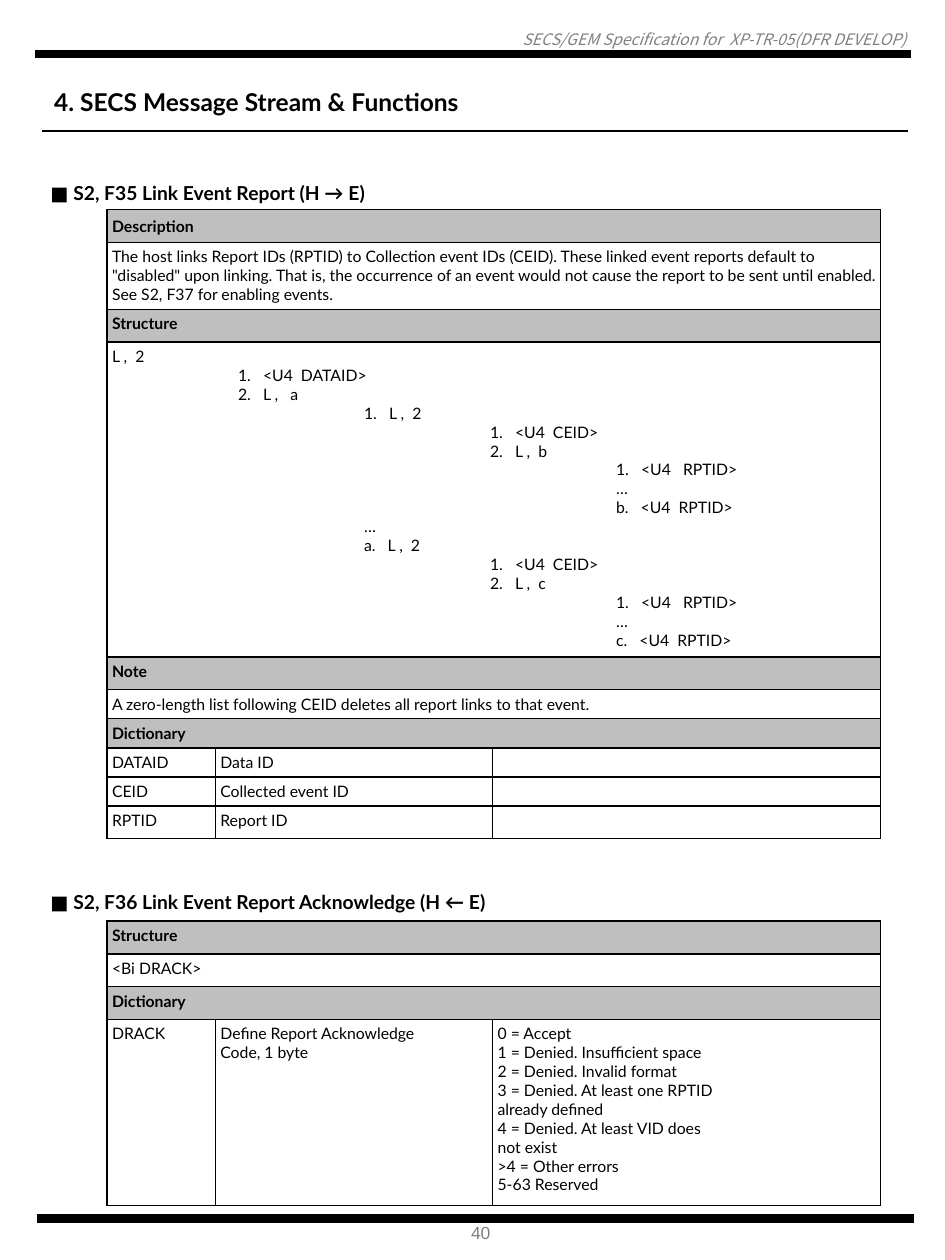
from lxml.etree import SubElement
from pptx import Presentation
from pptx.dml.color import RGBColor
from pptx.enum.shapes import MSO_CONNECTOR as Connector
from pptx.enum.text import MSO_ANCHOR as Anchor, PP_ALIGN as Align
from pptx.oxml.ns import qn
from pptx.util import Inches, Pt

BLACK, GRAY, BAND = "000000", "808080", "BFBFBF"
HEADING = {"size": Pt(11), "bold": True, "name": "Lato"}
BODY = {"size": Pt(9), "bold": False, "name": "Lato"}
STRONG = BODY | {"bold": True}
COLUMNS = [0.49, 0.86, 2.2, 3.08]

STRUCTURE = [
    (0, "L ,  2"),
    (1, "1.   <U4  DATAID>"),
    (1, "2.   L ,   a"),
    (2, "1.   L ,  2"),
    (3, "1.   <U4  CEID>"),
    (3, "2.   L ,  b"),
    (4, "1.   <U4   RPTID>"),
    (4, "…"),
    (4, "b.   <U4  RPTID>"),
    (2, "…"),
    (2, "a.   L ,  2"),
    (3, "1.   <U4  CEID>"),
    (3, "2.   L ,  c"),
    (4, "1.   <U4   RPTID>"),
    (4, "…"),
    (4, "c.   <U4  RPTID>"),
]
ERROR_CODES = [
    "0 = Accept",
    "1 = Denied. Insufficient space",
    "2 = Denied. Invalid format",
    "3 = Denied. At least one RPTID",
    "already defined",
    "4 = Denied. At least VID does",
    "not exist",
    ">4 = Other errors",
    "5-63 Reserved",
]
LINK_DESCRIPTION = (
    "The host links Report IDs (RPTID) to Collection event IDs (CEID). These linked event "
    'reports default to "disabled" upon linking. That is, the occurrence of an event would '
    "not cause the report to be sent until enabled. See S2, F37 for enabling events."
)
MESSAGES = [
    (1.4, [
        ("heading", 0.26, "■ S2, F35 Link Event Report (H → E)"),
        ("band", 0.26, "Description"),
        ("text", 0.53, [LINK_DESCRIPTION]),
        ("band", 0.26, "Structure"),
        ("text", 2.5, STRUCTURE),
        ("band", 0.26, "Note"),
        ("text", 0.23, ["A zero-length list following CEID deletes all report links to that event."]),
        ("band", 0.23, "Dictionary"),
        ("entry", 0.23, [["DATAID"], ["Data ID"], []]),
        ("entry", 0.23, [["CEID"], ["Collected event ID"], []]),
        ("entry", 0.26, [["RPTID"], ["Report ID"], []]),
    ]),
    (7.01, [
        ("heading", 0.3, "■ S2, F36 Link Event Report Acknowledge (H ← E)"),
        ("band", 0.26, "Structure"),
        ("text", 0.26, ["<Bi DRACK>"]),
        ("band", 0.26, "Dictionary"),
        ("entry", 1.48, [["DRACK"], ["Define Report Acknowledge", "Code, 1 byte"], ERROR_CODES]),
    ]),
]
RULES = [(0.28, 7.23, 0.43, 4.75), (0.29, 7.25, 9.67, 4.75), (0.33, 7.21, 1.04, 0.75)]


def color(code):
    """Turn a hex string into a colour."""
    return RGBColor.from_string(code)


def write(para, text, style, ink=BLACK):
    """Add one formatted span to a paragraph."""
    span = para.add_run()
    span.text = text
    for key, value in style.items():
        setattr(span.font, key, value)
    span.font.color.rgb = color(ink)


def fill_cell(cell, lines, style):
    """Write lines, or (level, line) pairs indented one inch a level, into a cell."""
    for index, line in enumerate(lines):
        level, text = line if isinstance(line, tuple) else (0, line)
        frame = cell.text_frame
        para = frame.add_paragraph() if index else frame.paragraphs[0]
        if level:
            para._p.get_or_add_pPr().set("marL", str(Inches(level)))
        write(para, text, style)


def set_borders(cell, black_sides):
    """Draw the named sides in black and the others in white."""
    props = cell._tc.get_or_add_tcPr()
    for index, side in enumerate("LRTB"):
        black = side in black_sides
        line = props.makeelement(qn(f"a:ln{side}"), {"w": str(Pt(1 if black else 0.75))})
        paint = SubElement(line, qn("a:solidFill"))
        SubElement(paint, qn("a:srgbClr"), val=BLACK if black else "FFFFFF")
        props.insert(index, line)


def add_message(page, top, rows):
    """Add the table that describes one message."""
    height = sum(row[1] for row in rows)
    table = page.shapes.add_table(
        len(rows), len(COLUMNS), Inches(0.36), Inches(top), Inches(sum(COLUMNS)), Inches(height)
    ).table
    table.first_row = table.horz_banding = False
    for column, width in zip(table.columns, COLUMNS):
        column.width = Inches(width)
    for number, (kind, row_height, content) in enumerate(rows):
        table.rows[number].height = Inches(row_height)
        cells = list(table.rows[number].cells)
        for index, cell in enumerate(cells):
            cell.margin_left = cell.margin_right = Inches(0.04)
            cell.margin_top = cell.margin_bottom = Inches(0.04)
            if kind == "band" and index:
                cell.fill.solid()
                cell.fill.fore_color.rgb = color(BAND)
            else:
                cell.fill.background()
            set_borders(cell, "" if kind == "heading" else "LRTB" if index else "R")
            cell.text_frame.paragraphs[0]._p.get_or_add_endParaRPr().set("sz", "900")
        if kind == "heading":
            cells[0].merge(cells[-1])
            fill_cell(cells[0], [content], HEADING)
        elif kind == "entry":
            for cell, lines in zip(cells[1:], content):
                fill_cell(cell, lines, BODY)
        else:
            cells[1].merge(cells[-1])
            band = kind == "band"
            fill_cell(cells[1], [content] if band else content, STRONG if band else BODY)
        if kind == "heading" or content == "Description":
            cells[0 if kind == "heading" else 1].vertical_anchor = Anchor.MIDDLE


def add_rule(page, left, right, top, weight):
    """Add a horizontal black line."""
    rule = page.shapes.add_connector(
        Connector.STRAIGHT, Inches(left), Inches(top), Inches(right), Inches(top)
    )
    rule.line.color.rgb = color(BLACK)
    rule.line.width = Pt(weight)
    SubElement(rule._element.spPr, qn("a:effectLst"))


deck = Presentation()
deck.slide_width, deck.slide_height = Inches(7.5), Inches(10)
page = deck.slides.add_slide(deck.slide_layouts[5])

title = page.shapes.title
title.left, title.top, title.width, title.height = map(Inches, (0.33, 0.64, 3.86, 0.34))
title.text_frame.word_wrap = False
title.text_frame.vertical_anchor = Anchor.TOP
title.text_frame.paragraphs[0].alignment = Align.LEFT
write(title.text_frame.paragraphs[0], "4. SECS Message Stream & Functions", HEADING | {"size": Pt(14)})

header = page.shapes.add_textbox(Inches(0.05), Inches(0.24), Inches(7.14), Inches(0.15)).text_frame
header.word_wrap = True
for side in ("left", "right", "top", "bottom"):
    setattr(header, f"margin_{side}", 0)
header.paragraphs[0].alignment = Align.RIGHT
write(
    header.paragraphs[0],
    "SECS/GEM Specification for  XP-TR-05(DFR DEVELOP)",
    {"size": Pt(9), "italic": True, "name": "Noto Sans CJK KR"},
    GRAY,
)

footer = page.shapes.add_textbox(Inches(3.64), Inches(9.65), Inches(0.37), Inches(0.27)).text_frame
write(footer.paragraphs[0], "40", {"size": Pt(10), "name": "Arial"}, GRAY)

for top, rows in MESSAGES:
    add_message(page, top, rows)
for rule in RULES:
    add_rule(page, *rule)

deck.save("out.pptx")
